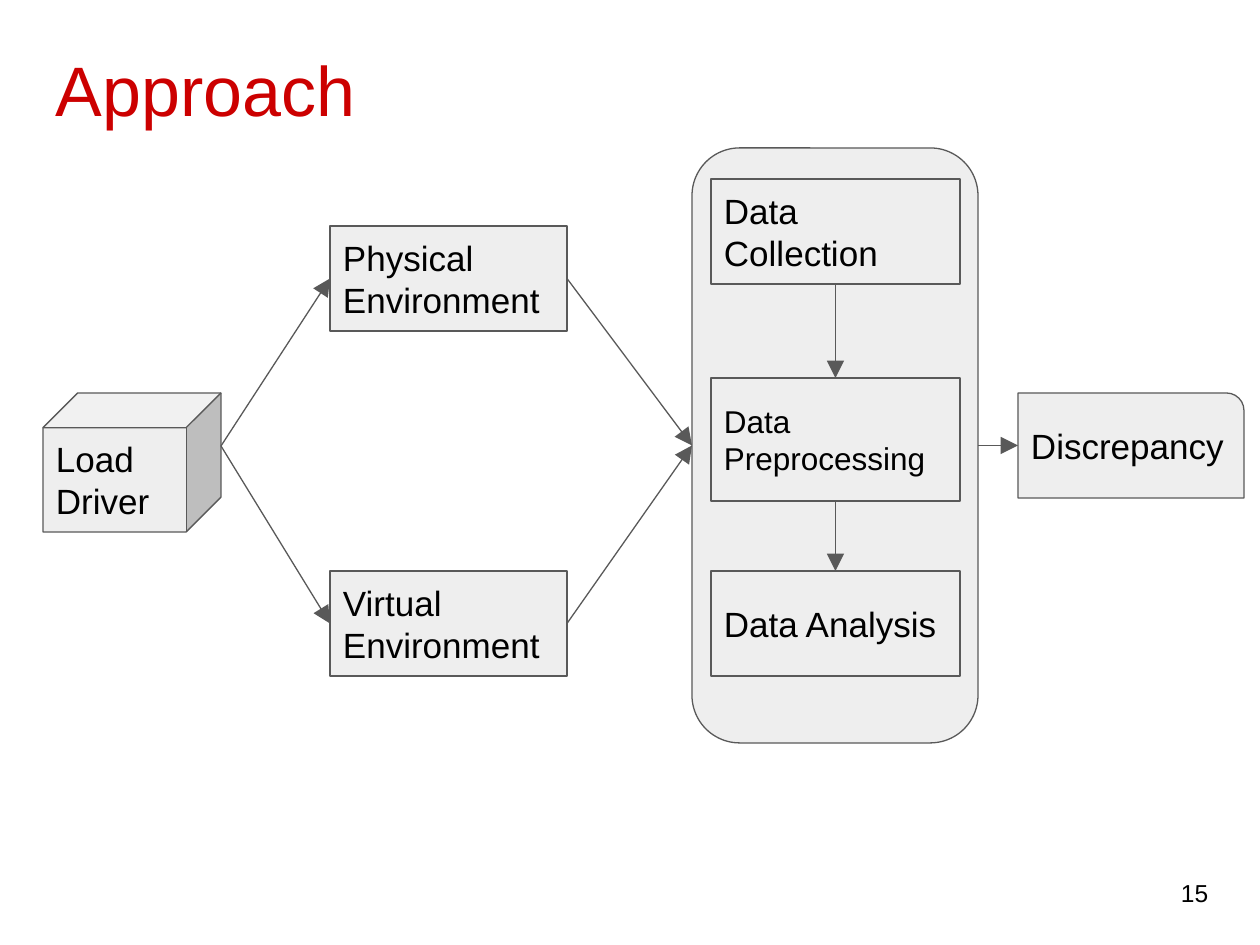
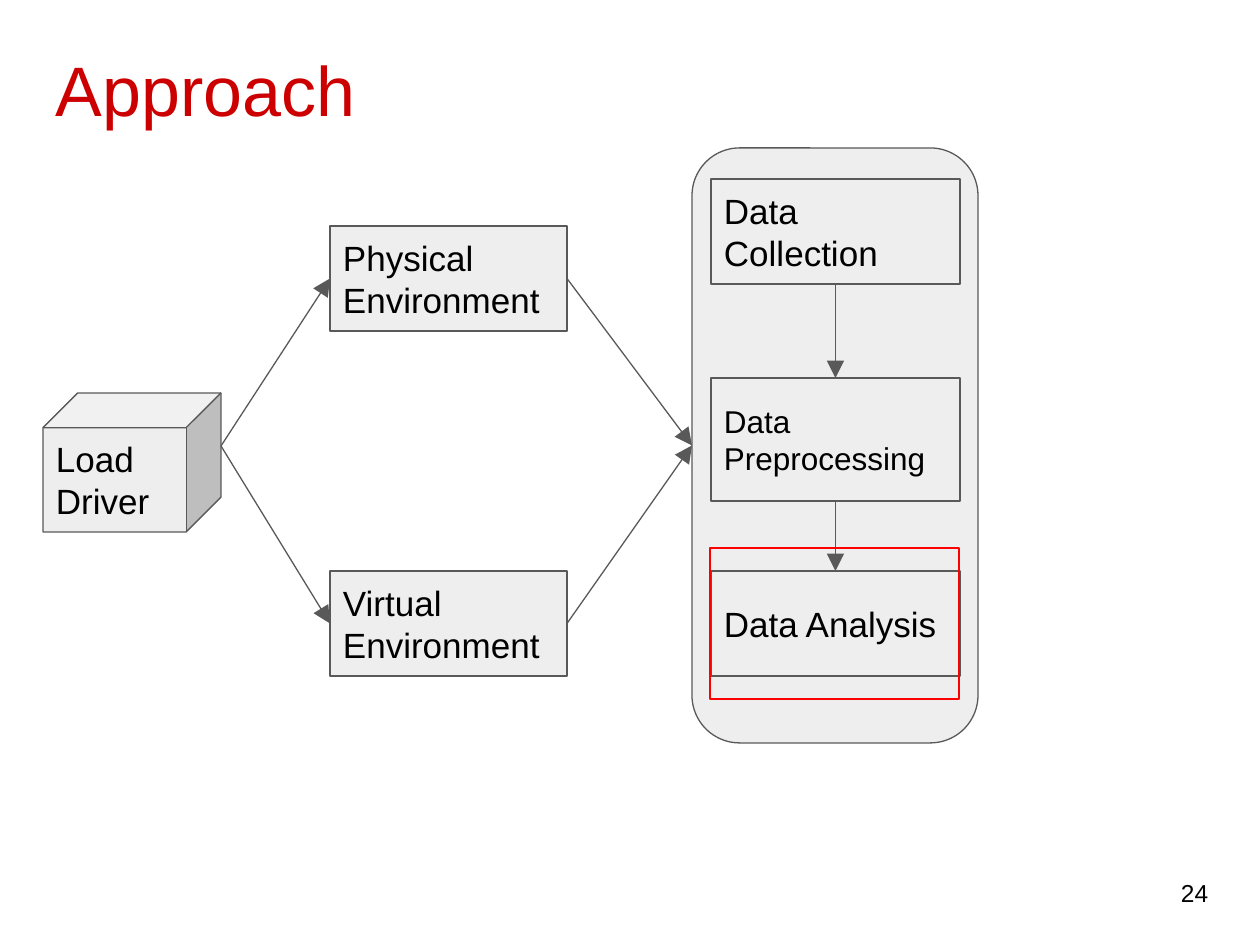
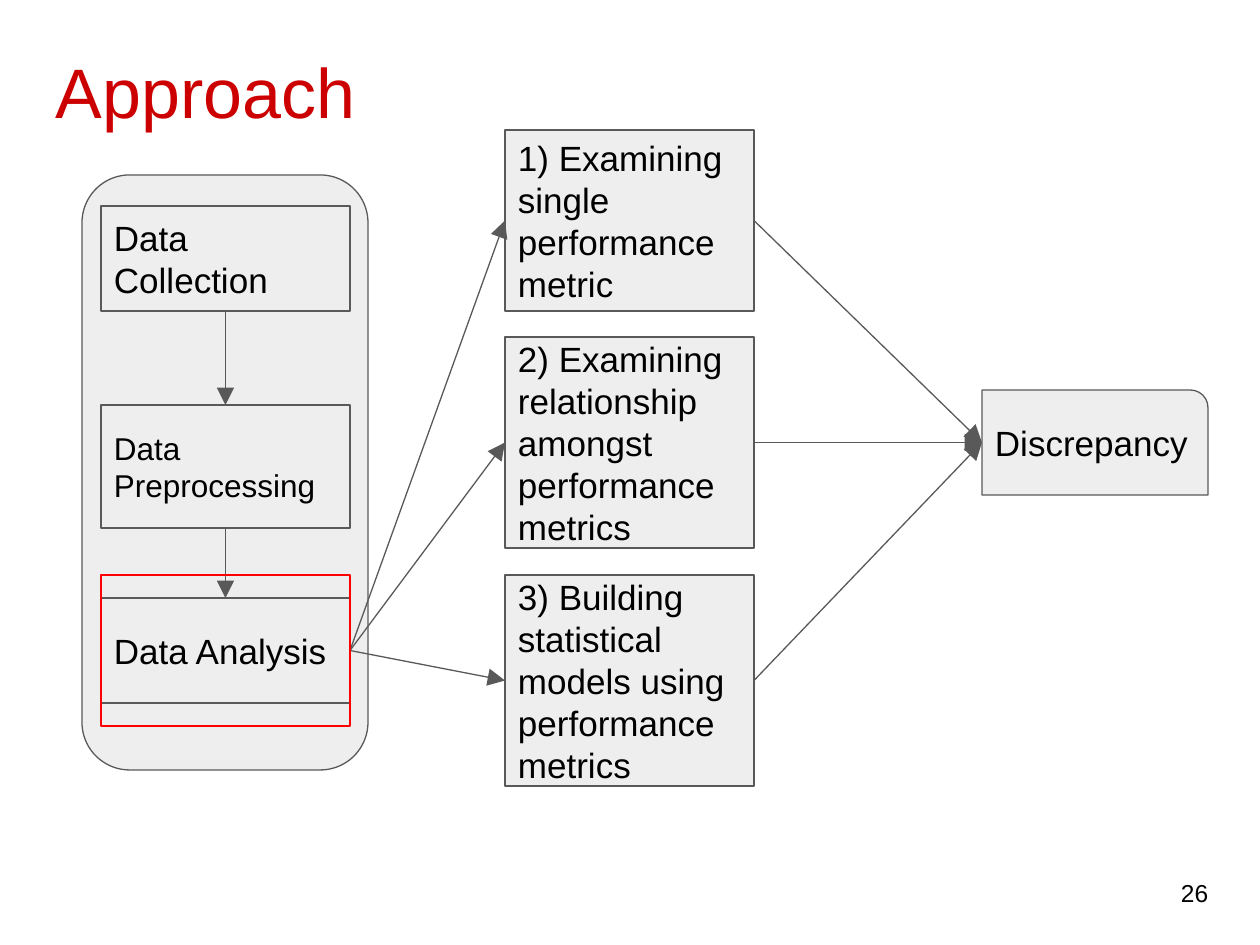
import pptx
import pptx.util
import pptx.dml.color
import pptx.enum.shapes
import pptx.enum.text
import lxml.etree

PX = 914400 / 126
KIND = pptx.enum.shapes.MSO_SHAPE
ANCHOR = pptx.enum.text.MSO_ANCHOR
INK, GREY, FILL, RED, ALERT = "000000", "595959", "EEEEEE", "CC0000", "FF0000"
TOP, LEFT, BOTTOM, RIGHT = range(4)
NS = "http://schemas.openxmlformats.org/drawingml/2006/main"


def color(code):
    return pptx.dml.color.RGBColor.from_string(code)


def write(shape, text, size, ink=INK, anchor=ANCHOR.MIDDLE):
    frame = shape.text_frame
    pad = round(13 * PX)
    form = {"word_wrap": True, "vertical_anchor": anchor, "margin_left": pad,
            "margin_right": pad, "margin_top": pad, "margin_bottom": pad}
    for key, value in form.items():
        setattr(frame, key, value)
    para = frame.paragraphs[0]
    para.alignment = pptx.enum.text.PP_ALIGN.LEFT
    run = para.add_run()
    run.text = text
    for key, value in {"name": "Arial", "size": pptx.util.Pt(size)}.items():
        setattr(run.font, key, value)
    run.font.color.rgb = color(ink)


source = [
    ("load", KIND.CUBE, 43, 393, 178, 139, "Load Driver", 20),
    ("real", KIND.RECTANGLE, 330, 226, 237, 105, "Physical Environment", 20),
    ("virtual", KIND.RECTANGLE, 330, 571, 237, 105, "Virtual Environment", 20),
]
tests = [
    ("single", KIND.RECTANGLE, 505, 130, 249, 181,
     "1) Examining single performance metric", 20),
    ("relation", KIND.RECTANGLE, 505, 337, 249, 211,
     "2) Examining relationship amongst performance metrics", 20),
    ("model", KIND.RECTANGLE, 505, 575, 249, 211,
     "3) Building statistical models using performance metrics", 20),
]
steps = [
    ("pane", KIND.ROUNDED_RECTANGLE, 0, 0, 286, 595, "", 20),
    ("collect", KIND.RECTANGLE, 19, 31, 249, 105, "Data Collection", 20),
    ("prep", KIND.RECTANGLE, 19, 230, 249, 123, "Data Preprocessing", 18),
    ("study", KIND.RECTANGLE, 19, 423, 249, 105, "Data Analysis", 20),
]
result = ("result", KIND.ROUND_1_RECTANGLE)
label = (226, 105, "Discrepancy", 20)

down = [("collect", BOTTOM, "prep", TOP), ("prep", BOTTOM, "study", TOP)]
flow = []
for name in ("real", "virtual"):
    flow += [("load", RIGHT, name, LEFT), (name, RIGHT, "pane", LEFT)]
fan = []
for name in ("single", "relation", "model"):
    fan += [("study", RIGHT, name, LEFT), (name, RIGHT, "result", LEFT)]

pages = [
    {"number": "15", "title": 34, "pane": (692, 148), "mark": None,
     "nodes": source + [(*result, 1018, 393, *label)],
     "links": flow + [("pane", RIGHT, "result", LEFT)]},
    {"number": "24", "title": 34, "pane": (692, 148), "mark": 710,
     "nodes": source, "links": flow},
    {"number": "26", "title": 36, "pane": (82, 175), "mark": 101,
     "nodes": tests + [(*result, 982, 390, *label)], "links": fan},
]

deck = pptx.Presentation()
deck.slide_width = pptx.util.Inches(10)
deck.slide_height = pptx.util.Inches(7.5)

for page in pages:
    slide = deck.slides.add_slide(deck.slide_layouts[6])
    shapes = slide.shapes
    box = [round(v * PX) for v in (43, page["title"], 1174, 139)]
    write(shapes.add_textbox(*box), "Approach", 40, RED, ANCHOR.TOP)
    box = [round(v * PX) for v in (1168, 857, 76, 72)]
    write(shapes.add_textbox(*box), page["number"], 14)

    left, top = page["pane"]
    nodes = [(name, kind, left + x, top + y, *rest)
             for name, kind, x, y, *rest in steps] + page["nodes"]
    if page["mark"]:
        nodes.append(("mark", KIND.RECTANGLE, page["mark"], top + 400, 249, 151, "", 20))

    made = {}
    for name, kind, x, y, wide, high, text, size in nodes:
        node = shapes.add_shape(kind, *[round(v * PX) for v in (x, y, wide, high)])
        node.shadow.inherit = False
        if name == "mark":
            node.fill.background()
        else:
            node.fill.solid()
            node.fill.fore_color.rgb = color(FILL)
        node.line.color.rgb = color(ALERT if name == "mark" else GREY)
        node.line.width = pptx.util.Pt(1.5 if name == "mark" else 0.75)
        if text:
            write(node, text, size)
        made[name] = node

    for start, out, end, into in down + page["links"]:
        x, y = round(221 * PX), round(446 * PX)
        link = shapes.add_connector(pptx.enum.shapes.MSO_CONNECTOR.STRAIGHT, x, y, x, y)
        if start != "load":
            link.begin_connect(made[start], out)
        link.end_connect(made[end], into)
        link.line.color.rgb = color(GREY)
        link.line.width = pptx.util.Pt(0.75)
        tip = lxml.etree.SubElement(link.line._get_or_add_ln(), f"{{{NS}}}tailEnd")
        for key, value in {"type": "triangle", "w": "lg", "len": "lg"}.items():
            tip.set(key, value)
        lxml.etree.SubElement(link._element.spPr, f"{{{NS}}}effectLst")

    if "mark" in made:
        shapes._spTree.append(made["mark"]._element)

deck.save("out.pptx")
